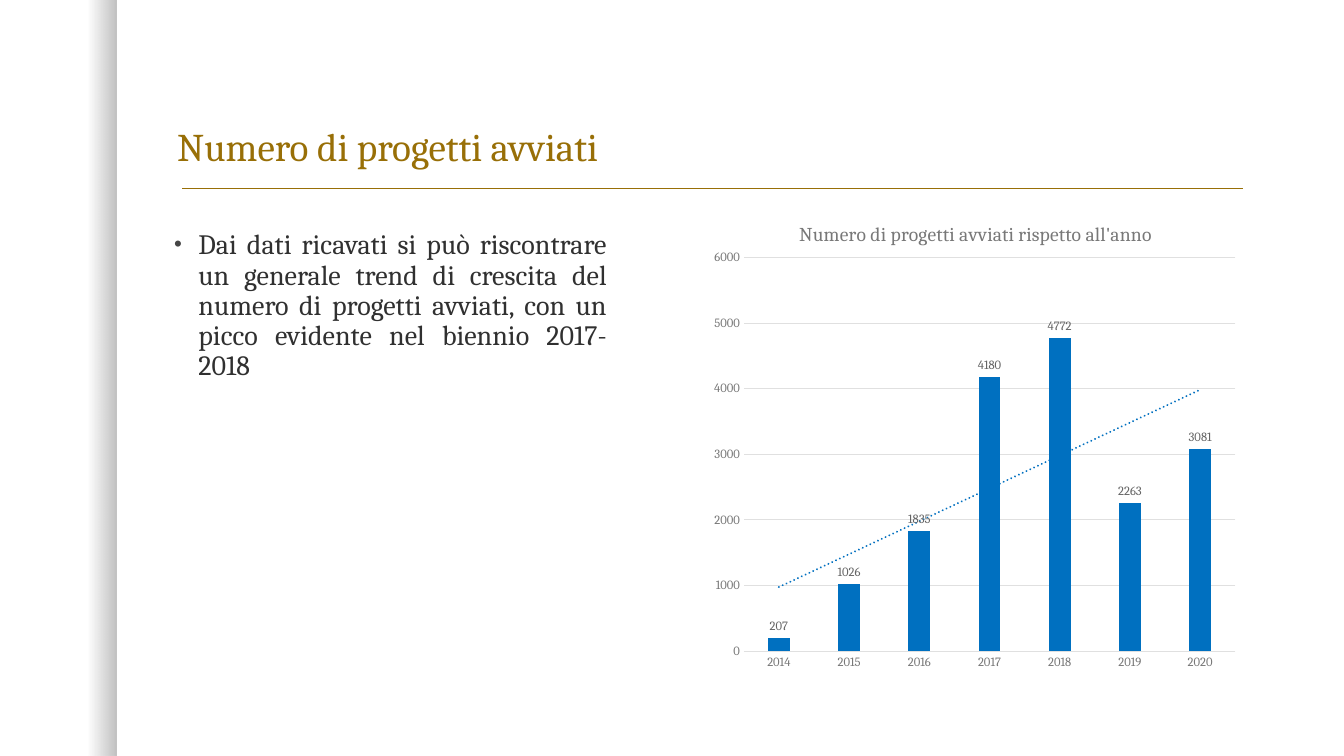
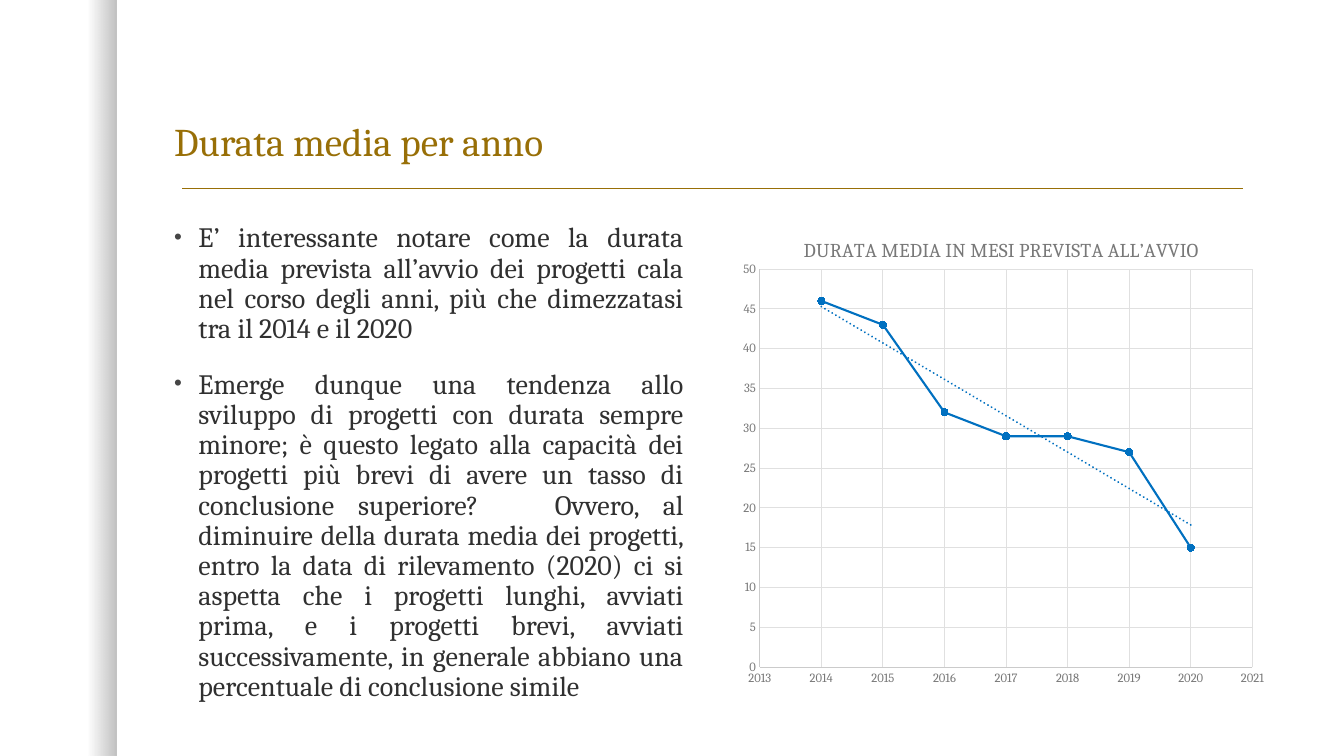
from lxml.etree import SubElement as Sub
from pptx import Presentation
from pptx.chart.data import CategoryChartData, XyChartData
from pptx.dml.color import RGBColor
from pptx.enum.chart import (XL_CHART_TYPE as Kind, XL_LABEL_POSITION as Pos,
                             XL_MARKER_STYLE as Mark, XL_TICK_MARK as Tick)
from pptx.enum.shapes import MSO_CONNECTOR as Conn, MSO_SHAPE as Shape
from pptx.enum.text import MSO_ANCHOR as Anchor, PP_ALIGN as Align
from pptx.oxml import parse_xml
from pptx.oxml.ns import nsdecls, qn
from pptx.util import Inches, Pt

HUES = {
    "gold": "986F07", "text": "303030", "bullet": "454545", "shade": "000000",
    "data": "0070C0", "axis": "787878", "label": "646464",
    "grid": "E0E0E0", "edge": "CBCBCB",
}
FONT = "Cambria"
WIDE, HIGH = 40 / 3, 7.5


def hue(name):
    return RGBColor.from_string(HUES[name])


def style(font, size, name):
    font.name, font.size, font.bold = FONT, Pt(size), False
    font.color.rgb = hue(name)


def stroke(line, name, width):
    line.color.rgb, line.width = hue(name), Pt(width)


def place(box):
    return [Inches(v) for v in box]


def add_base(deck):
    """Add a blank slide with the shaded left band and the title rule."""
    slide = deck.slides.add_slide(deck.slide_layouts[6])
    band = slide.shapes.add_shape(Shape.RECTANGLE, *place((0, 0, 1.16, HIGH)))
    band.shadow.inherit = False
    band.line.fill.background()
    band.fill.gradient()
    band.fill.gradient_angle = 0
    for stop, at in zip(band.fill.gradient_stops, (0.75, 1)):
        stop.position, stop.color.rgb = at, hue("shade")
    tones = band._element.spPr.iter(qn("a:srgbClr"))
    for tone, alpha in zip(tones, (0, 25)):
        Sub(tone, qn("a:alpha"), val=str(alpha * 1000))

    rule = slide.shapes.add_connector(Conn.STRAIGHT, *place((1.81, 1.87, 12.33, 1.87)))
    stroke(rule.line, "gold", 1)
    Sub(rule._element.spPr, qn("a:effectLst"))
    return slide


def add_text(slide, box):
    frame = slide.shapes.add_textbox(*place(box)).text_frame
    frame.word_wrap = True
    return frame


def add_run(para, text, size, name):
    run = para.add_run()
    run.text = text
    style(run.font, size, name)


def add_title(slide, box, text):
    frame = add_text(slide, box)
    frame.vertical_anchor = Anchor.BOTTOM
    para = frame.paragraphs[0]
    para.line_spacing = 0.9
    add_run(para, text, 28, "gold")


def add_body(slide, box, texts, tab=None):
    """Add justified bullets; tab is an optional tab stop in inches."""
    frame = add_text(slide, box)
    for i, text in enumerate(texts):
        para = frame.add_paragraph() if i else frame.paragraphs[0]
        para.alignment = Align.JUSTIFY
        para.line_spacing, para.space_before = 0.9, Pt(18)
        props = para._p.get_or_add_pPr()
        props.set("marL", str(Inches(0.24)))
        props.set("indent", str(-Inches(0.24)))
        Sub(Sub(props, qn("a:buClr")), qn("a:srgbClr"), val=HUES["bullet"])
        Sub(props, qn("a:buSzPct"), val="80000")
        Sub(props, qn("a:buFont"), typeface="Arial")
        Sub(props, qn("a:buChar"), char="•")
        if tab:
            stops = Sub(props, qn("a:tabLst"))
            Sub(stops, qn("a:tab"), pos=str(Inches(tab)), algn="l")
        add_run(para, text, 20, "text")


def make_layout(x, y, w=None, h=None):
    """Build a manual chart layout in shares of the chart's size."""
    pairs = [("xMode", "edge"), ("yMode", "edge"), ("x", x), ("y", y)]
    if w:
        pairs = [("layoutTarget", "inner"), *pairs, ("w", w), ("h", h)]
    tags = "".join(f'<c:{tag} val="{val}"/>' for tag, val in pairs)
    return parse_xml(f'<c:layout {nsdecls("c")}><c:manualLayout>{tags}'
                     '</c:manualLayout></c:layout>')


def add_trend(series):
    trend = parse_xml(
        f'<c:trendline {nsdecls("c", "a")}><c:spPr><a:ln w="{Pt(1.5)}" cap="rnd">'
        f'<a:solidFill><a:srgbClr val="{HUES["data"]}"/></a:solidFill>'
        '<a:prstDash val="sysDot"/></a:ln></c:spPr><c:trendlineType val="linear"/>'
        '<c:dispRSqr val="0"/><c:dispEq val="0"/></c:trendline>')
    node = series._element
    first = node.find(qn("c:cat"))
    if first is None:
        first = node.find(qn("c:xVal"))
    first.addprevious(trend)


def set_axis(axis, line, grid, scale=None):
    axis.major_tick_mark = axis.minor_tick_mark = Tick.NONE
    style(axis.tick_labels.font, 9, "axis")
    if line:
        stroke(axis.format.line, line, 0.75)
    else:
        axis.format.line.fill.background()
    axis.has_major_gridlines = grid
    if grid:
        stroke(axis.major_gridlines.format.line, "grid", 0.75)
    if scale:
        axis.minimum_scale, axis.maximum_scale, axis.major_unit = scale


def add_chart(slide, kind, box, data, title, head, area):
    """Add a titled chart; head and area are the title and plot layouts."""
    chart = slide.shapes.add_chart(kind, *place(box), data).chart
    style(chart.font, 10, "text")
    chart.has_legend = False
    chart.has_title = True
    add_run(chart.chart_title.text_frame.paragraphs[0], title, 14, "axis")
    node = chart.chart_title._element
    for old in node.findall(qn("c:layout")):
        node.remove(old)
    node.find(qn("c:tx")).addnext(make_layout(*head))
    plot = chart._chartSpace.find(qn("c:chart")).find(qn("c:plotArea"))
    for old in plot.findall(qn("c:layout")):
        plot.remove(old)
    plot.insert(0, make_layout(*area))
    chart.plots[0].vary_by_categories = False
    add_trend(chart.plots[0].series[0])
    return chart


def add_bars(slide, box):
    data = CategoryChartData()
    data.categories = [str(year) for year in range(2014, 2021)]
    data.add_series("Progetti", (207, 1026, 1835, 4180, 4772, 2263, 3081))
    chart = add_chart(slide, Kind.COLUMN_CLUSTERED, box, data,
                      "Numero di progetti avviati rispetto all'anno",
                      (0.18, 0.03), (0.087, 0.113, 0.885, 0.826))
    set_axis(chart.category_axis, "grid", False)
    set_axis(chart.value_axis, None, True, (0, 6000, 1000))
    plot = chart.plots[0]
    plot.gap_width, plot.overlap = 219, -27
    fill = plot.series[0].format.fill
    fill.solid()
    fill.fore_color.rgb = hue("data")
    plot.has_data_labels = True
    labels = plot.data_labels
    labels.show_value, labels.position = True, Pos.OUTSIDE_END
    style(labels.font, 9, "label")


def add_curve(slide, box):
    data = XyChartData()
    months = data.add_series("Durata media")
    for year, value in enumerate((46, 43, 32, 29, 29, 27, 15), 2014):
        months.add_data_point(year, value)
    chart = add_chart(slide, Kind.XY_SCATTER_LINES, box, data,
                      "DURATA MEDIA IN MESI PREVISTA ALL’AVVIO",
                      (0.14, 0.03), (0.068, 0.104, 0.879, 0.821))
    set_axis(chart.category_axis, "edge", True, (2013, 2021, 1))
    set_axis(chart.value_axis, "edge", True, (0, 50, 5))
    series = chart.plots[0].series[0]
    series.smooth = False
    stroke(series.format.line, "data", 1.5)
    mark = series.marker
    mark.style, mark.size = Mark.CIRCLE, 5
    mark.format.fill.solid()
    mark.format.fill.fore_color.rgb = hue("data")
    stroke(mark.format.line, "data", 0.75)


def add_count(deck):
    slide = add_base(deck)
    add_title(slide, (1.66, 0.99, 10.75, 0.75), "Numero di progetti avviati")
    add_body(slide, (1.63, 2.24, 4.49, 4.58), [
        "Dai dati ricavati si può riscontrare un generale trend di crescita del "
        "numero di progetti avviati, con un picco evidente nel biennio 2017-2018"])
    add_bars(slide, (6.9, 2.02, 5.51, 4.73))


def add_span(deck):
    slide = add_base(deck)
    add_title(slide, (1.63, 0.84, 10.75, 0.85), "Durata media per anno")
    add_body(slide, (1.63, 2.17, 5.25, 5.28), [
        "E’ interessante notare come la durata media prevista all’avvio dei progetti "
        "cala nel corso degli anni, più che dimezzatasi tra il 2014 e il 2020",
        "Emerge dunque una tendenza allo sviluppo di progetti con durata sempre "
        "minore; è questo legato alla capacità dei progetti più brevi di avere un "
        "tasso di conclusione superiore?\tOvvero, al diminuire della durata media "
        "dei progetti, entro la data di rilevamento (2020) ci si aspetta che i "
        "progetti lunghi, avviati prima, e i progetti brevi, avviati "
        "successivamente, in generale abbiano una percentuale di conclusione simile",
    ], tab=3.6)
    add_curve(slide, (7.16, 2.17, 5.56, 4.81))


def main():
    deck = Presentation()
    deck.slide_width, deck.slide_height = Inches(WIDE), Inches(HIGH)
    add_count(deck)
    add_span(deck)
    deck.save("out.pptx")


if __name__ == "__main__":
    main()
